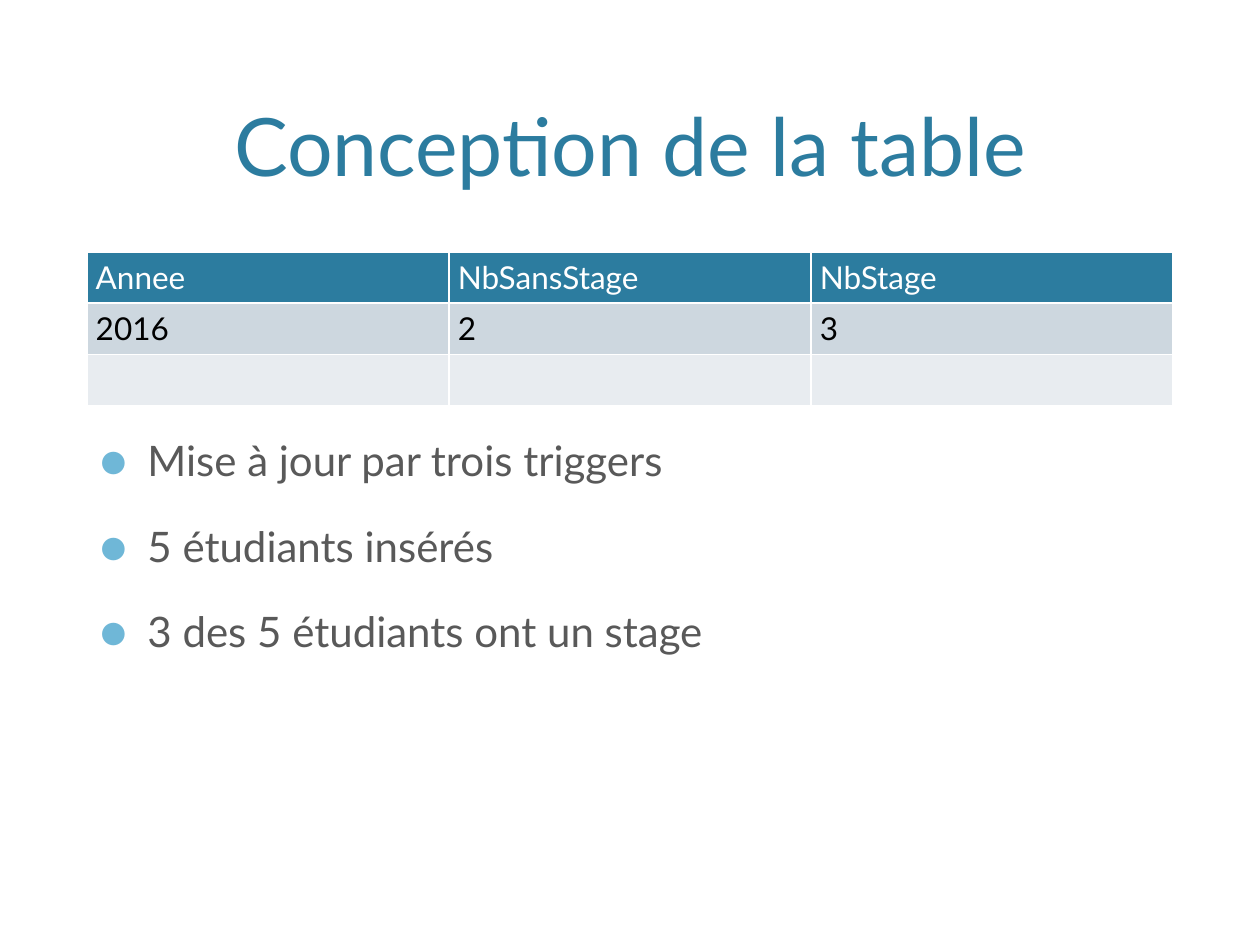
from lxml import etree
from pptx import Presentation
from pptx.dml.color import RGBColor
from pptx.enum.text import MSO_ANCHOR, PP_ALIGN
from pptx.oxml.ns import qn
from pptx.util import Inches, Pt

BOTTOM, CENTER = MSO_ANCHOR.BOTTOM, PP_ALIGN.CENTER

TITLE = "Conception de la table"
ROWS = [
    ("Annee", "NbSansStage", "NbStage"),
    ("2016", "2", "3"),
    ("", "", ""),
]
POINTS = [
    "Mise à jour par trois triggers",
    "5 étudiants insérés",
    "3 des 5 étudiants ont un stage",
]
FONT = "Lato"
BLUE, SKY, GREY, WHITE, BLACK = "2C7C9F", "6FB7D7", "595959", "FFFFFF", "000000"
BANDS = [(BLUE, WHITE), ("CDD7DF", BLACK), ("E8ECF0", BLACK)]


def style(para, size, color):
    font = para.font
    font.name, font.size, font.bold = FONT, Pt(size), False
    font.color.rgb = RGBColor.from_string(color)


def place(shape, left, top, width, height):
    shape.left, shape.top = Inches(left), Inches(top)
    shape.width, shape.height = Inches(width), Inches(height)


def add(parent, tag, **attrs):
    return etree.SubElement(parent, qn(tag), attrs)


def border(cell, color, width):
    """Draw all four sides of a cell; call it before the fill is set."""
    props = cell._tc.get_or_add_tcPr()
    for side in ("a:lnL", "a:lnR", "a:lnT", "a:lnB"):
        line = add(props, side, w=str(Pt(width)))
        add(add(line, "a:solidFill"), "a:srgbClr", val=color)


def bullet(para, color):
    """Give a paragraph a round bullet with a hanging indent."""
    props = para._p.get_or_add_pPr()
    indent = Inches(0.38)
    props.set("marL", str(indent))
    props.set("indent", str(-indent))
    add(add(props, "a:buClr"), "a:srgbClr", val=color)
    add(props, "a:buSzPct", val="110000")
    add(props, "a:buFont", typeface=FONT)
    add(props, "a:buChar", char="●")


def main():
    prs = Presentation()
    prs.slide_width, prs.slide_height = Inches(10), Inches(7.5)
    slide = prs.slides.add_slide(prs.slide_layouts[1])
    title, body = slide.placeholders

    place(title, 0.6, 0.12, 8.8, 1.46)
    title.text_frame.text = TITLE
    title.text_frame.vertical_anchor = BOTTOM
    head = title.text_frame.paragraphs[0]
    head.alignment = CENTER
    style(head, 46, BLUE)

    table = slide.shapes.add_table(
        len(ROWS), len(ROWS[0]),
        Inches(0.69), Inches(2), Inches(8.62), Inches(1.22)).table
    for r, (row, (fill, ink)) in enumerate(zip(ROWS, BANDS)):
        for c, text in enumerate(row):
            cell = table.cell(r, c)
            cell.text = text
            cell.margin_left = cell.margin_right = Inches(0.07)
            border(cell, WHITE, 1)
            cell.fill.solid()
            cell.fill.fore_color.rgb = RGBColor.from_string(fill)
            style(cell.text_frame.paragraphs[0], 18, ink)

    place(body, 0.69, 3.4, 8.8, 4.1)
    body.text_frame.text = "\n".join(POINTS)
    for para in body.text_frame.paragraphs:
        para.space_before = Pt(20)
        bullet(para, SKY)
        style(para, 24, GREY)

    prs.save("out.pptx")


if __name__ == "__main__":
    main()
